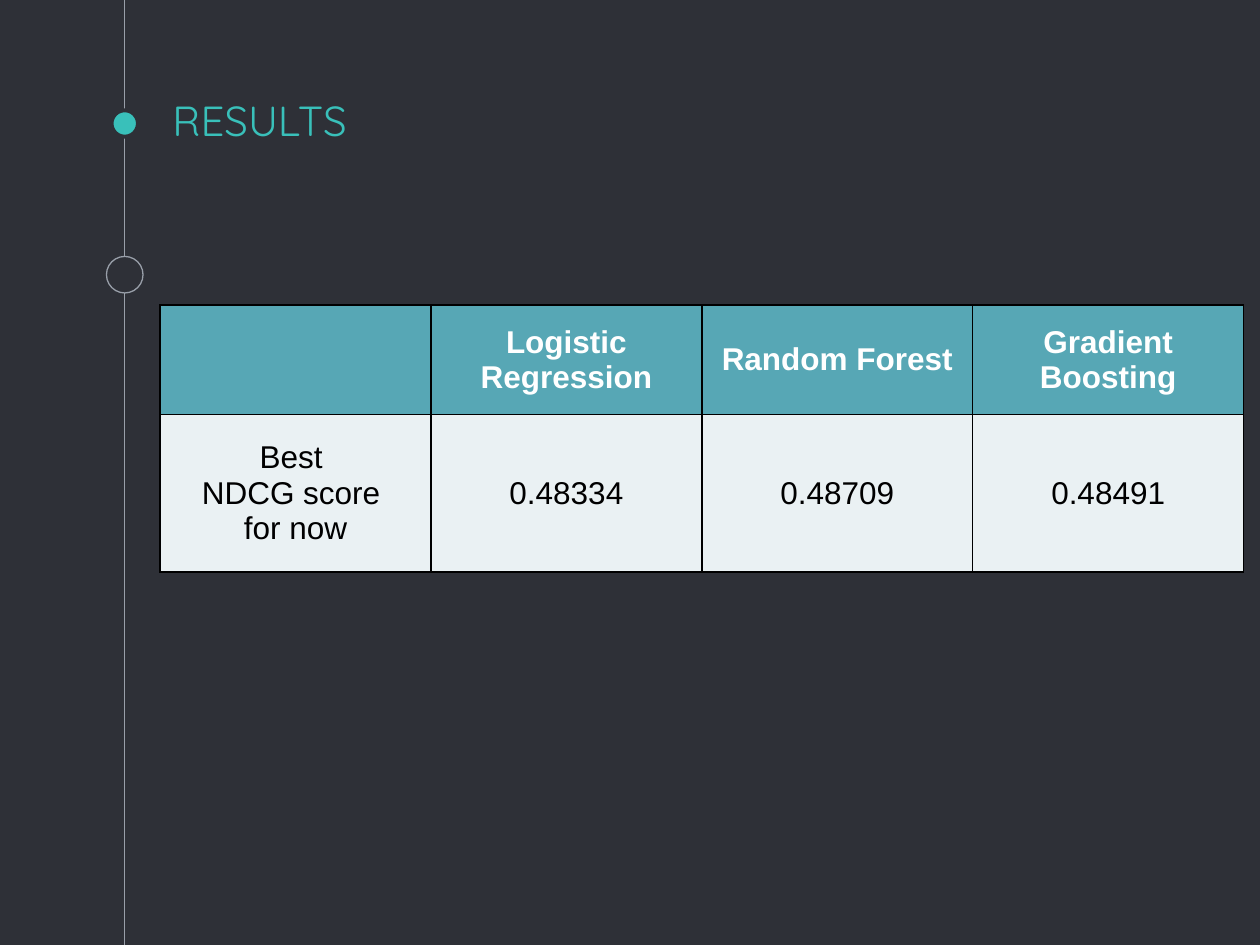
"""Build the results slide: a timeline rail, a title and a score table."""
from lxml.etree import SubElement
from pptx import Presentation
from pptx.dml.color import RGBColor
from pptx.enum.shapes import MSO_CONNECTOR, MSO_SHAPE
from pptx.enum.text import MSO_ANCHOR, PP_ALIGN
from pptx.oxml.ns import qn
from pptx.util import Inches, Pt

BACKGROUND, ACCENT, RAIL_GREY = "2E3037", "39C0BA", "999FA9"


def paint(fill, color):
    fill.solid()
    fill.fore_color.rgb = RGBColor.from_string(color)


def write(frame, text, *, size=18, font="Arial", color="000000", bold=False,
          align=PP_ALIGN.CENTER):
    frame.word_wrap = True
    for index, line in enumerate(text.split("\n")):
        paragraph = frame.paragraphs[0] if index == 0 else frame.add_paragraph()
        paragraph.alignment = align
        run = paragraph.add_run()
        run.text = line
        run.font.size, run.font.name, run.font.bold = Pt(size), font, bold
        paint(run.font.fill, color)


deck = Presentation()
deck.slide_width, deck.slide_height = Inches(10), Inches(7.5)
slide = deck.slides.add_slide(deck.slide_layouts[6])
paint(slide.background.fill, BACKGROUND)

rail_x = Inches(0.99)
rail = slide.shapes.add_connector(
    MSO_CONNECTOR.STRAIGHT, rail_x, 0, rail_x, deck.slide_height)
paint(rail.line.fill, RAIL_GREY)
rail.line.width = Pt(0.75)
SubElement(rail._element.spPr, qn("a:effectLst"))

for center_y, diameter, fill, outline, width in (
        (0.98, 0.21, ACCENT, BACKGROUND, 2.25),
        (2.18, 0.29, BACKGROUND, RAIL_GREY, 0.75)):
    size = Inches(diameter)
    stop = slide.shapes.add_shape(
        MSO_SHAPE.OVAL, rail_x - size // 2, Inches(center_y) - size // 2, size, size)
    stop.shadow.inherit = False
    paint(stop.fill, fill)
    paint(stop.line.fill, outline)
    stop.line.width = Pt(width)

content_left = Inches(1.27)
title = slide.shapes.add_textbox(
    content_left, Inches(0.75), Inches(7.5), Inches(0.5)).text_frame
title.margin_left = title.margin_right = Inches(0.1)
title.margin_top = title.margin_bottom = Inches(0.1)
title.vertical_anchor = MSO_ANCHOR.BOTTOM
write(title, "RESULTS", size=24, font="Quicksand", color=ACCENT, align=PP_ALIGN.LEFT)

results = (
    ("", "Logistic Regression", "Random Forest", "Gradient Boosting"),
    ("Best \nNDCG score \nfor now", "0.48334", "0.48709", "0.48491"),
)
row_styles = (
    (0.87, "57A7B5", "FFFFFF", True),
    (1.25, "EAF1F3", "000000", False),
)
scores = slide.shapes.add_table(
    len(results), len(results[0]), content_left, Inches(2.42),
    Inches(8.6), Inches(2.12)).table
for row, entries, (height, fill, color, bold) in zip(scores.rows, results, row_styles):
    row.height = Inches(height)
    for cell, entry in zip(row.cells, entries):
        cell.vertical_anchor = MSO_ANCHOR.MIDDLE
        if entry:
            write(cell.text_frame, entry, color=color, bold=bold)
        properties = cell._tc.get_or_add_tcPr()
        for side in ("a:lnL", "a:lnR", "a:lnT", "a:lnB"):
            border = SubElement(properties, qn(side), w=str(Pt(1)))
            SubElement(SubElement(border, qn("a:solidFill")), qn("a:srgbClr"), val="000000")
        paint(cell.fill, fill)

deck.save("out.pptx")
